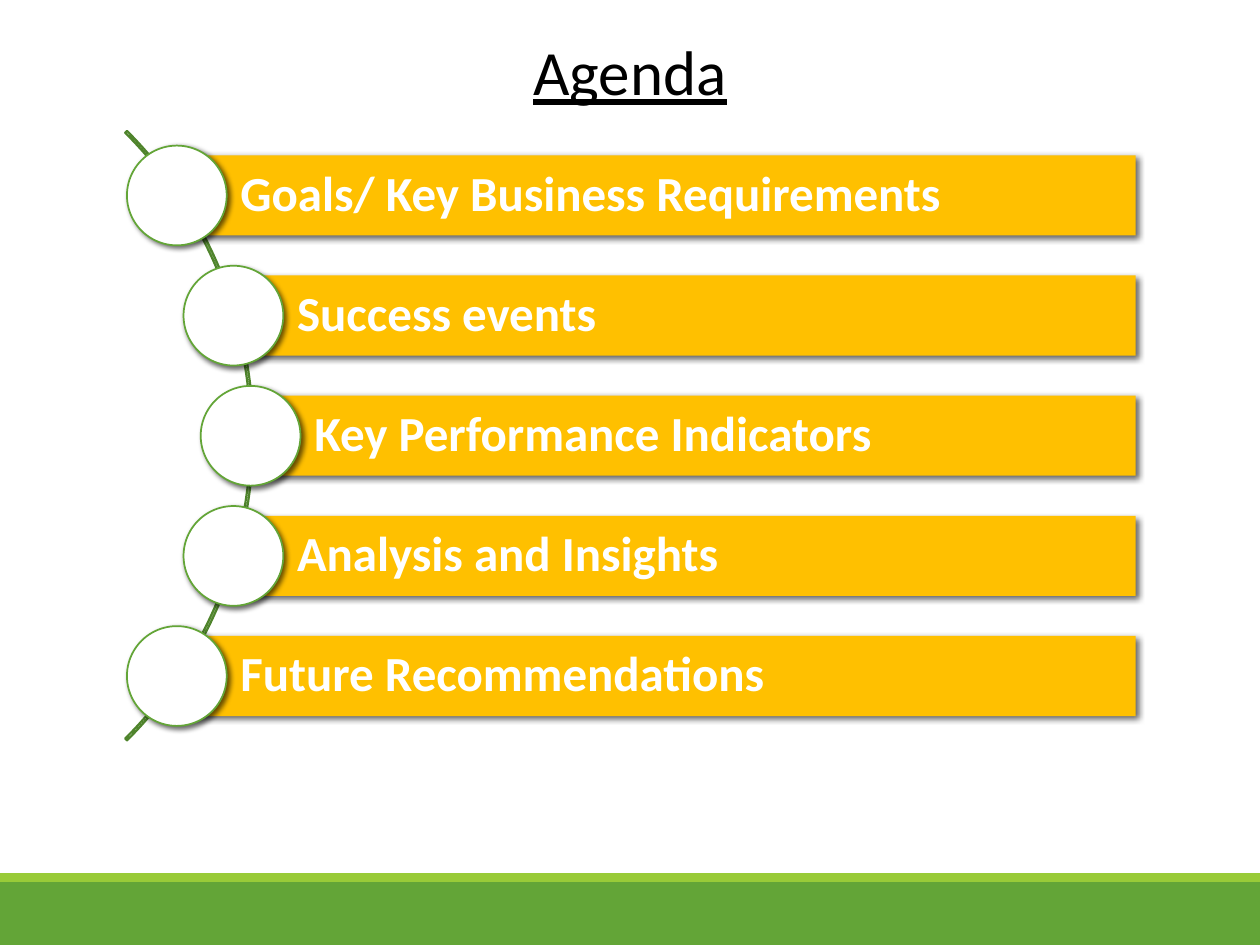
from dataclasses import dataclass
from math import sqrt

from lxml import etree
from pptx import Presentation
from pptx.dml.color import RGBColor
from pptx.enum.shapes import MSO_SHAPE
from pptx.enum.text import MSO_ANCHOR, MSO_AUTO_SIZE, PP_ALIGN
from pptx.oxml.ns import qn
from pptx.util import Pt

RECT, OVAL, ARC = MSO_SHAPE.RECTANGLE, MSO_SHAPE.OVAL, MSO_SHAPE.BLOCK_ARC
MIDDLE, GROW = MSO_ANCHOR.MIDDLE, MSO_AUTO_SIZE.SHAPE_TO_FIT_TEXT
LEFT, CENTER = PP_ALIGN.LEFT, PP_ALIGN.CENTER


@dataclass(frozen=True)
class Theme:
    font: str = "Calibri"
    title_size: float = 36
    item_size: float = 28
    black: str = "000000"
    white: str = "FFFFFF"
    amber: str = "FFC000"
    green: str = "63A537"
    lime: str = "99CB38"
    dark_green: str = "4F842C"


@dataclass(frozen=True)
class Box:
    left: float
    top: float
    width: float
    height: float


@dataclass(frozen=True)
class Shadow:
    blur: float
    dist: float = 2
    angle: int = 45
    alpha: int = 60


THEME = Theme()
ITEMS = [
    "Goals/ Key Business Requirements",
    "Success events",
    "Key Performance Indicators",
    "Analysis and Insights",
    "Future Recommendations",
]

# Layout in points: bullets sit on a circle around (ARC_X, ARC_Y)
SLIDE_W, SLIDE_H = 720, 540
ARC_X, ARC_Y, ARC_SIZE = -101.5, 249, 492.5
BULLET_RADIUS, BULLET_SIZE = 244.7, 57
PITCH, BAR_H, BAR_RIGHT = 68.65, 45.8, 649


def add_shadow(sp, shadow: Shadow) -> None:
    effects = sp._element.spPr.find(qn("a:effectLst"))
    outer = etree.SubElement(
        effects, qn("a:outerShdw"), blurRad=str(Pt(shadow.blur)),
        dist=str(Pt(shadow.dist)), dir=str(shadow.angle * 60000), rotWithShape="0")
    color = etree.SubElement(outer, qn("a:srgbClr"), val=THEME.black)
    etree.SubElement(color, qn("a:alpha"), val=str(shadow.alpha * 1000))


def add_shape(s, kind, box: Box, fill: str | None = None, line: str | None = None,
              line_width: float = 1, shadow: Shadow | None = None):
    sp = s.shapes.add_shape(kind, Pt(box.left), Pt(box.top), Pt(box.width), Pt(box.height))
    sp.shadow.inherit = False
    if fill:
        sp.fill.solid()
        sp.fill.fore_color.rgb = RGBColor.from_string(fill)
    else:
        sp.fill.background()
    if line:
        sp.line.color.rgb = RGBColor.from_string(line)
        sp.line.width = Pt(line_width)
    else:
        sp.line.fill.background()
    if shadow:
        add_shadow(sp, shadow)
    return sp


def set_text(sp, text: str, color: str, align, frame: dict, font: dict) -> None:
    tf = sp.text_frame
    for name, value in frame.items():
        setattr(tf, name, value)
    p = tf.paragraphs[0]
    p.alignment = align
    r = p.add_run()
    r.text = text
    r.font.color.rgb = RGBColor.from_string(color)
    for name, value in ({"name": THEME.font} | font).items():
        setattr(r.font, name, value)


def add_item(s, index: int, text: str) -> None:
    offset = (index - (len(ITEMS) - 1) / 2) * PITCH
    x = ARC_X + sqrt(BULLET_RADIUS ** 2 - offset ** 2)
    y = ARC_Y + offset
    bar = add_shape(s, RECT, Box(x, y - BAR_H / 2, BAR_RIGHT - x, BAR_H),
                    fill=THEME.amber, shadow=Shadow(blur=3.5))
    set_text(bar, text, THEME.white, LEFT,
             {"word_wrap": True, "vertical_anchor": MIDDLE, "margin_left": Pt(36.4),
              "margin_top": Pt(5.6), "margin_right": Pt(5.6), "margin_bottom": Pt(5.6)},
             {"size": Pt(THEME.item_size), "bold": True})
    bar.text_frame.paragraphs[0].line_spacing = 0.9
    half = BULLET_SIZE / 2
    add_shape(s, OVAL, Box(x - half, y - half, BULLET_SIZE, BULLET_SIZE),
              fill=THEME.white, line=THEME.green, shadow=Shadow(blur=3))


def main() -> None:
    prs = Presentation()
    prs.slide_width, prs.slide_height = Pt(SLIDE_W), Pt(SLIDE_H)
    s = prs.slides.add_slide(prs.slide_layouts[6])

    # Footer bands
    add_shape(s, RECT, Box(0, 504, SLIDE_W, 36), fill=THEME.green)
    add_shape(s, RECT, Box(0, 499, SLIDE_W, 5), fill=THEME.lime)

    # Curve behind the agenda items
    half = ARC_SIZE / 2
    arc = add_shape(s, ARC, Box(ARC_X - half, ARC_Y - half, ARC_SIZE, ARC_SIZE),
                    line=THEME.dark_green, line_width=1.25)
    for i, value in enumerate((189, 27, 0.003)):
        arc.adjustments[i] = value

    # Agenda items
    for i, text in enumerate(ITEMS):
        add_item(s, i, text)

    # Title
    title = s.shapes.add_textbox(Pt(285), Pt(15), Pt(150), Pt(51))
    set_text(title, "Agenda", THEME.black, CENTER,
             {"word_wrap": True, "auto_size": GROW},
             {"size": Pt(THEME.title_size), "underline": True})

    prs.save("out.pptx")


if __name__ == "__main__":
    main()
